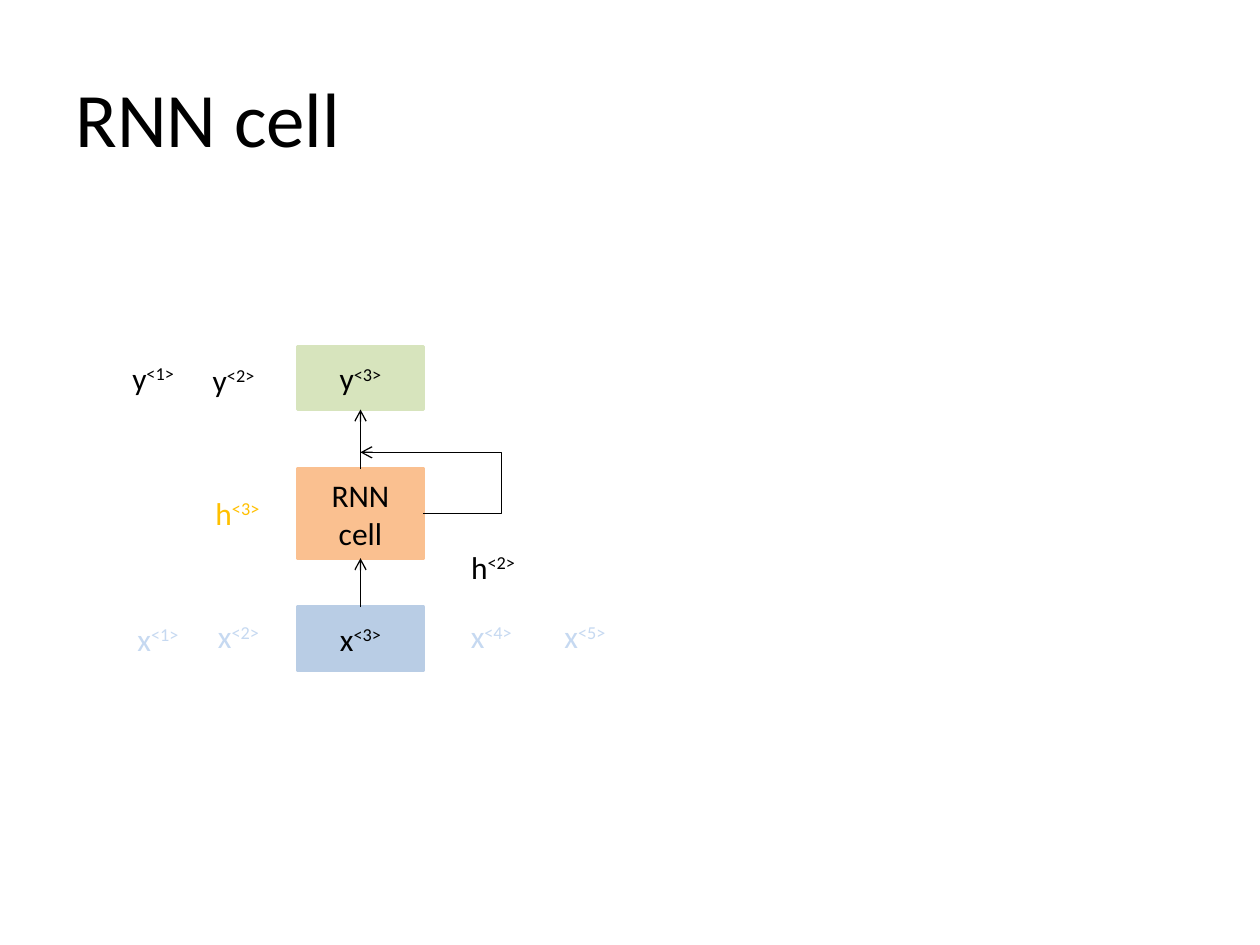
from lxml.etree import SubElement
from pptx import Presentation
from pptx.dml.color import RGBColor
from pptx.enum.shapes import MSO_CONNECTOR as Link, MSO_SHAPE as Shape
from pptx.enum.text import MSO_ANCHOR as Anchor, MSO_AUTO_SIZE as Fit, PP_ALIGN as Align
from pptx.oxml.ns import qn
from pptx.util import Pt

BLACK = RGBColor(0x00, 0x00, 0x00)
INPUT_BLUE = RGBColor(0xB9, 0xCD, 0xE5)
CELL_ORANGE = RGBColor(0xFA, 0xC0, 0x90)
OUTPUT_GREEN = RGBColor(0xD7, 0xE4, 0xBD)
FADED_BLUE = RGBColor(0xC6, 0xD9, 0xF1)
STATE_GOLD = RGBColor(0xFF, 0xC0, 0x00)

BOX_WIDTH = 72
LABEL_HEIGHT = 29


def apply(target, formats):
    for name, value in formats.items():
        setattr(target, name, value)


def write_symbol(frame, base, step=None, color=BLACK, align=Align.CENTER):
    paragraph = frame.paragraphs[0]
    paragraph.alignment = align
    for text in filter(None, (base, step)):
        run = paragraph.add_run()
        run.text = text
        apply(run.font, {"name": "Calibri", "size": Pt(18)})
        run.font.color.rgb = color
        if text == step:
            run._r.get_or_add_rPr().set("baseline", "30000")


def add_box(shapes, left, top, height, color, base, step=None):
    box = shapes.add_shape(Shape.RECTANGLE, Pt(left), Pt(top), Pt(BOX_WIDTH), Pt(height))
    box.shadow.inherit = False
    box.fill.solid()
    box.fill.fore_color.rgb = color
    box.line.color.rgb = color
    box.line.width = Pt(2)
    apply(box.text_frame, {"word_wrap": True, "vertical_anchor": Anchor.MIDDLE})
    write_symbol(box.text_frame, base, step)
    return box


def add_arrow(shapes, kind, start, end):
    arrow = shapes.add_connector(kind, *map(Pt, start + end))
    arrow.line.color.rgb = BLACK
    arrow.line.width = Pt(0.75)
    SubElement(arrow.line._get_or_add_ln(), qn("a:tailEnd"), type="arrow")
    SubElement(arrow._element.spPr, qn("a:effectLst"))
    return arrow


def add_title(slide, left, top, width, height):
    title = slide.shapes.title
    apply(title, {"left": Pt(left), "top": Pt(top), "width": Pt(width), "height": Pt(height)})
    title.text_frame.text = "RNN cell"
    title.text_frame.vertical_anchor = Anchor.MIDDLE
    heading = title.text_frame.paragraphs[0]
    heading.alignment = Align.LEFT
    apply(heading.font, {"name": "Calibri", "size": Pt(44)})
    heading.font.color.rgb = BLACK


def add_cell_diagram(slide, left, top):
    shapes = slide.shapes.add_group_shape().shapes
    output = add_box(shapes, left, top, 36, OUTPUT_GREEN, "y", "<3>")
    cell = add_box(shapes, left, top + 70, 51, CELL_ORANGE, "RNN cell")
    source = add_box(shapes, left, top + 149, 36, INPUT_BLUE, "x", "<3>")

    middle = left + BOX_WIDTH / 2
    for lower, upper in ((source, cell), (cell, output)):
        arrow = add_arrow(shapes, Link.STRAIGHT, (middle, top), (middle, top))
        arrow.begin_connect(lower, 0)
        arrow.end_connect(upper, 2)

    loop = add_arrow(shapes, Link.ELBOW, (left + BOX_WIDTH, top + 95.5), (middle, top + 60.5))
    bends = loop._element.spPr.find(qn("a:prstGeom")).get_or_add_avLst()
    SubElement(bends, qn("a:gd"), name="adj1", fmla="val -124000")


def add_step_labels(slide, left, top):
    labels = (
        ("y", "<1>", 0, 0, 41, BLACK, Align.CENTER),
        ("y", "<2>", 46, 1, 41, BLACK, Align.CENTER),
        ("h", "<3>", 49, 77, 42.5, STATE_GOLD, Align.LEFT),
        ("h", "<2>", 193.5, 108, 42.5, BLACK, Align.CENTER),
        ("x", "<1>", 3, 149, 40.5, FADED_BLUE, Align.CENTER),
        ("x", "<2>", 49, 147.5, 40.5, FADED_BLUE, Align.CENTER),
        ("x", "<4>", 193.5, 147.5, 40.5, FADED_BLUE, Align.CENTER),
        ("x", "<5>", 247, 147.5, 40.5, FADED_BLUE, Align.CENTER),
    )
    for base, step, across, down, width, color, align in labels:
        label = slide.shapes.add_textbox(
            Pt(left + across), Pt(top + down), Pt(width), Pt(LABEL_HEIGHT))
        apply(label.text_frame, {"word_wrap": False, "auto_size": Fit.SHAPE_TO_FIT_TEXT})
        write_symbol(label.text_frame, base, step, color, align)


def main():
    deck = Presentation()
    apply(deck, {"slide_width": Pt(720), "slide_height": Pt(540)})
    slide = deck.slides.add_slide(deck.slide_layouts[5])
    add_title(slide, 36, 21.6, 648, 90)
    add_cell_diagram(slide, 170, 198)
    add_step_labels(slide, 67, 201.5)
    deck.save("out.pptx")


if __name__ == "__main__":
    main()
